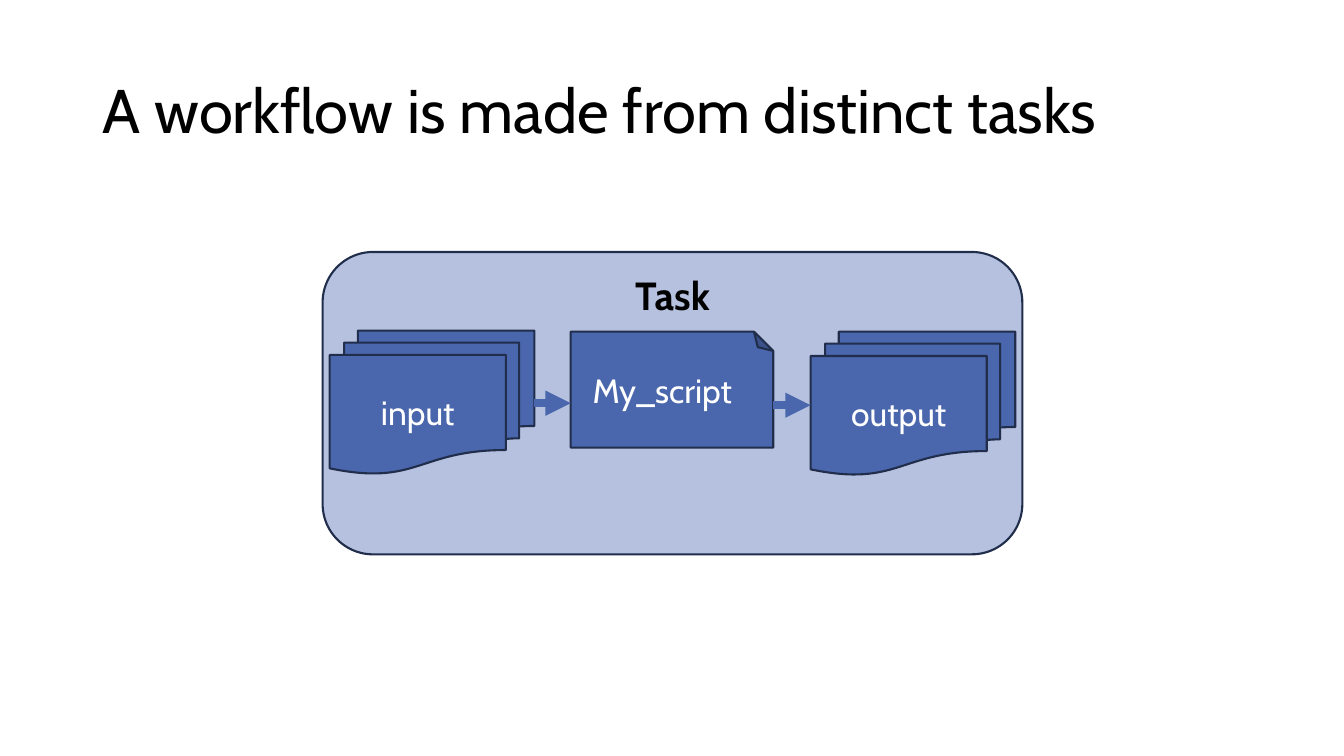
from dataclasses import dataclass

from lxml.etree import SubElement
from pptx import Presentation
from pptx.dml.color import RGBColor
from pptx.enum.shapes import MSO_CONNECTOR, MSO_SHAPE
from pptx.enum.text import MSO_ANCHOR, PP_ALIGN
from pptx.oxml.ns import qn
from pptx.slide import Slide
from pptx.text.text import _Paragraph as Paragraph
from pptx.util import Inches, Pt


@dataclass(frozen=True)
class Theme:
    font: str = "Cabin"
    black: RGBColor = RGBColor(0x00, 0x00, 0x00)
    white: RGBColor = RGBColor(0xFF, 0xFF, 0xFF)
    panel: RGBColor = RGBColor(0xB5, 0xC1, 0xDF)
    accent: RGBColor = RGBColor(0x4A, 0x66, 0xAC)
    outline: RGBColor = RGBColor(0x20, 0x2D, 0x4B)
    title_size: int = 44
    heading_size: int = 28
    label_size: int = 24
    outline_width: float = 1.5
    arrow_width: float = 6


THEME = Theme()


@dataclass(frozen=True)
class Box:
    text: str
    kind: MSO_SHAPE
    left: float
    top: float
    width: float
    height: float
    fill: RGBColor = THEME.accent
    color: RGBColor = THEME.white
    size: int = THEME.label_size
    bold: bool = False
    anchor: MSO_ANCHOR = MSO_ANCHOR.MIDDLE
    rotation: int = 0


@dataclass(frozen=True)
class Arrow:
    start: float
    end: float
    y: float


TASK_PANEL = Box("Task", MSO_SHAPE.ROUNDED_RECTANGLE, 3.2, 2.5, 6.94, 3,
                 THEME.panel, THEME.black, THEME.heading_size, True, MSO_ANCHOR.TOP)
STEPS = [
    Box("My_script", MSO_SHAPE.FOLDED_CORNER, 6.09, 2.86, 1.15, 2.01, rotation=270),
    Box("input", MSO_SHAPE.FLOWCHART_MULTIDOCUMENT, 3.27, 3.28, 2.03, 1.42),
    Box("output", MSO_SHAPE.FLOWCHART_MULTIDOCUMENT, 8.04, 3.29, 2.03, 1.42),
]
ARROWS = [Arrow(5.3, 5.66, 4), Arrow(7.67, 8.04, 4.02)]


def format_paragraph(paragraph: Paragraph, size: int, color: RGBColor,
                     alignment: PP_ALIGN, bold: bool = False) -> None:
    paragraph.alignment = alignment
    paragraph.font.name = THEME.font
    paragraph.font.size = Pt(size)
    paragraph.font.bold = bold
    paragraph.font.color.rgb = color


def add_title(slide: Slide, text: str) -> None:
    title = slide.shapes.title
    title.left, title.top = Inches(0.92), Inches(0.4)
    title.width, title.height = Inches(11.5), Inches(1.45)
    frame = title.text_frame
    frame.text = text
    frame.vertical_anchor = MSO_ANCHOR.MIDDLE
    paragraph = frame.paragraphs[0]
    paragraph.line_spacing = 0.9
    format_paragraph(paragraph, THEME.title_size, THEME.black, PP_ALIGN.LEFT)


def add_box(slide: Slide, box: Box) -> None:
    shape = slide.shapes.add_shape(box.kind, Inches(box.left), Inches(box.top),
                                   Inches(box.width), Inches(box.height))
    shape.shadow.inherit = False
    shape.rotation = box.rotation
    shape.fill.solid()
    shape.fill.fore_color.rgb = box.fill
    shape.line.color.rgb = THEME.outline
    shape.line.width = Pt(THEME.outline_width)
    frame = shape.text_frame
    frame.text = box.text
    frame.word_wrap = True
    frame.vertical_anchor = box.anchor
    if box.rotation:
        # Turn the text back so that it reads upright
        frame._txBody.bodyPr.set("vert", "vert")
    format_paragraph(frame.paragraphs[0], box.size, box.color, PP_ALIGN.CENTER, box.bold)


def add_arrow(slide: Slide, arrow: Arrow) -> None:
    connector = slide.shapes.add_connector(
        MSO_CONNECTOR.STRAIGHT, Inches(arrow.start), Inches(arrow.y),
        Inches(arrow.end), Inches(arrow.y))
    connector.line.color.rgb = THEME.accent
    connector.line.width = Pt(THEME.arrow_width)
    SubElement(connector.line._get_or_add_ln(), qn("a:tailEnd"), type="triangle")
    SubElement(connector._element.spPr, qn("a:effectLst"))


def main() -> None:
    presentation = Presentation()
    presentation.slide_width = Inches(13.33)
    presentation.slide_height = Inches(7.5)
    slide = presentation.slides.add_slide(presentation.slide_layouts.get_by_name("Title Only"))

    # Title and task panel
    add_title(slide, "A workflow is made from distinct tasks")
    add_box(slide, TASK_PANEL)

    # Steps inside the task, joined by arrows
    for step in STEPS:
        add_box(slide, step)
    for arrow in ARROWS:
        add_arrow(slide, arrow)

    presentation.save("out.pptx")


if __name__ == "__main__":
    main()
